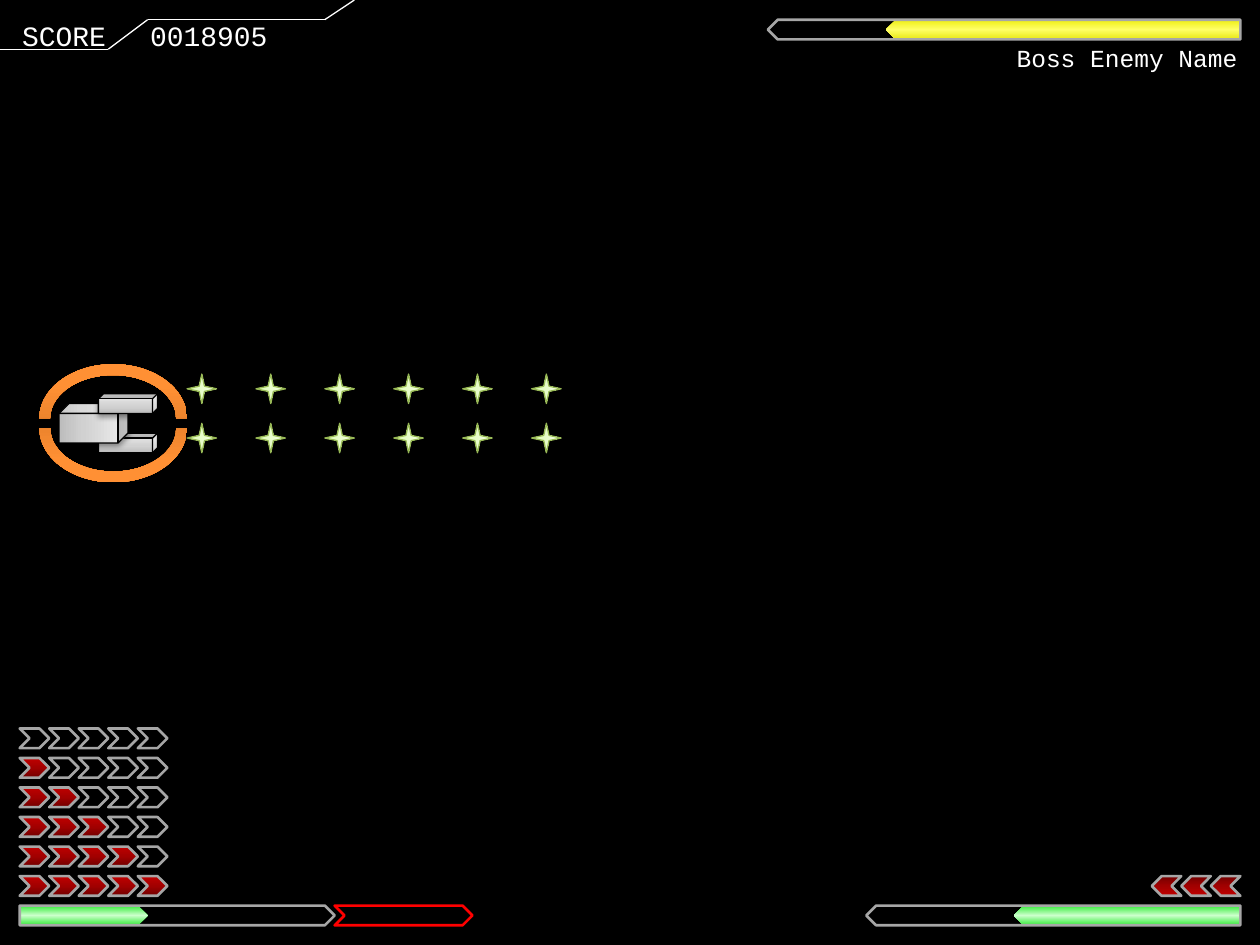
import copy

import lxml.etree
import pptx
import pptx.dml.color
import pptx.enum.shapes
import pptx.enum.text
import pptx.oxml.ns
import pptx.util

PX = 914400 // 128  # a grid of 1280 x 960 px
SHAPE = pptx.enum.shapes.MSO_SHAPE
ALIGN = pptx.enum.text.PP_ALIGN
qn = pptx.oxml.ns.qn

COLORS = {"space": "000000", "text": "FFFFFF", "frame": "A6A6A6",
          "empty": "FF0000", "hull edge": "000000", "shot edge": "98B955"}
# (position in percent, colour) stops
GRADIENTS = {
    "health": [(0, "35EB39"), (50, "CCFFCC"), (100, "35EB39")],
    "boss": [(0, "EDED11"), (50, "FFFF66"), (100, "E7E713")],
    "ammo": [(0, "720000"), (50, "A20000"), (100, "C00000")],
    "hull": [(0, "BDBDBD"), (35, "D1D1D1"), (100, "EEEEEE")],
    "shot": [(0, "DAFDA7"), (35, "E4FCC2"), (100, "F5FFE7")],
    "shield": [(0, "CC6E20"), (80, "FF9034"), (100, "FF9136")],
}
RGB = {name: pptx.dml.color.RGBColor.from_string(c) for name, c in COLORS.items()}
# (opacity in percent, distance in EMU)
SOFT_SHADOW = (38, 20000)
SHIELD_SHADOW = (35, 23000)

prs = pptx.Presentation()
prs.slide_width, prs.slide_height = 1280 * PX, 960 * PX
slide = prs.slides.add_slide(prs.slide_layouts[6])
slide.background.fill.solid()
slide.background.fill.fore_color.rgb = RGB["space"]


def add_part(kind, x, y, w, h, gradient=None, angle=90, line=None, width=1.5,
             rotation=0, flip=False, shadow=None, parent=slide):
    part = parent.shapes.add_shape(kind, x * PX, y * PX, w * PX, h * PX)
    part.rotation = rotation
    part.shadow.inherit = False
    if flip:
        part._element.spPr.xfrm.set("flipH", "1")
    if gradient:
        part.fill.gradient()
        part.fill.gradient_angle = angle
        stop_list = part._element.spPr.find(".//" + qn("a:gsLst"))
        stop_list.append(copy.deepcopy(stop_list[0]))
        for stop, (position, color) in zip(part.fill.gradient_stops, GRADIENTS[gradient]):
            stop.position = position / 100
            stop.color.rgb = pptx.dml.color.RGBColor.from_string(color)
    else:
        part.fill.background()
    if line:
        part.line.color.rgb = RGB[line]
        part.line.width = pptx.util.Pt(width)
    else:
        part.line.fill.background()
    if shadow:
        opacity, distance = shadow
        effects = part._element.spPr.find(qn("a:effectLst"))
        outer = lxml.etree.SubElement(effects, qn("a:outerShdw"), blurRad="40000",
                                      dist=str(distance), dir="5400000", rotWithShape="0")
        color = lxml.etree.SubElement(outer, qn("a:srgbClr"), val="000000")
        lxml.etree.SubElement(color, qn("a:alpha"), val=str(opacity * 1000))
    return part


def add_text(text, x, y, w, h, size=16, align=ALIGN.LEFT):
    frame = slide.shapes.add_textbox(x * PX, y * PX, w * PX, h * PX).text_frame
    frame.word_wrap = True
    frame.auto_size = pptx.enum.text.MSO_AUTO_SIZE.SHAPE_TO_FIT_TEXT
    paragraph = frame.paragraphs[0]
    paragraph.alignment = align
    run = paragraph.add_run()
    run.text = text
    run.font.name = "Courier New"
    run.font.size = pptx.util.Pt(size)
    run.font.color.rgb = RGB["text"]


# Gauges: left, top, filled width, full width, gradient, rotation
for x, y, filled, full, gradient, rotation in [
    (20, 920, 130, 320, "health", 0),
    (780, 20, 360, 480, "boss", 180),
    (880, 920, 230, 380, "health", 180),
]:
    filled_x = x + full - filled if rotation else x
    add_part(SHAPE.PENTAGON, filled_x, y, filled, 20, gradient, rotation=rotation)
    add_part(SHAPE.PENTAGON, x, y, full, 20, line="frame", rotation=rotation)
add_part(SHAPE.CHEVRON, 340, 920, 140, 20, line="empty")
add_text("Boss Enemy Name", 940, 37, 330, 43, size=14, align=ALIGN.RIGHT)

# Enemy lives
for column in range(3):
    add_part(SHAPE.CHEVRON, 1230 - 30 * column, 890, 30, 20, "ammo",
             line="frame", rotation=180)

# Ship and its shots
hull = dict(gradient="hull", angle=0, line="hull edge", width=0.75, shadow=SOFT_SHADOW)
add_part(SHAPE.CUBE, 120, 420, 20, 60, rotation=90, flip=True, **hull)
for column in range(6):
    for row in range(2):
        add_part(SHAPE.STAR_4_POINT, 190 + 70 * column, 380 + 50 * row, 30, 30, "shot",
                 line="shot edge", width=0.75, rotation=90, shadow=SOFT_SHADOW)
add_part(SHAPE.CUBE, 60, 410, 70, 40, **hull)
add_part(SHAPE.CUBE, 120, 380, 20, 60, rotation=90, flip=True, **hull)

# Shield
shield = slide.shapes.add_group_shape()
for y, rotation in [(370, 0), (380, 180)]:
    arc = add_part(SHAPE.BLOCK_ARC, 40, y, 150, 110, "shield", rotation=rotation,
                   shadow=SHIELD_SHADOW, parent=shield)
    for index, value in enumerate([108, 0, 0.1]):
        arc.adjustments[index] = value

# Ammo: each row up holds one charge less
for row in range(6):
    ammo = slide.shapes.add_group_shape()
    for column in range(5):
        add_part(SHAPE.CHEVRON, 20 + 30 * column, 890 - 30 * row, 30, 20,
                 "ammo" if column < 5 - row else None, line="frame", parent=ammo)

# Score and the stepped line around it
add_text("SCORE", 10, 13, 130, 47)
add_text("0018905", 140, 13, 190, 47)
steps = [(0, 50), (110, 50), (150, 20), (330, 20), (360, 0)]
for (x1, y1), (x2, y2) in zip(steps, steps[1:]):
    edge = slide.shapes.add_connector(pptx.enum.shapes.MSO_CONNECTOR.STRAIGHT,
                                      x1 * PX, y1 * PX, x2 * PX, y2 * PX)
    edge.line.color.rgb = RGB["text"]
    edge.line.width = pptx.util.Pt(0.75)
    lxml.etree.SubElement(edge._element.spPr, qn("a:effectLst"))

prs.save("out.pptx")
